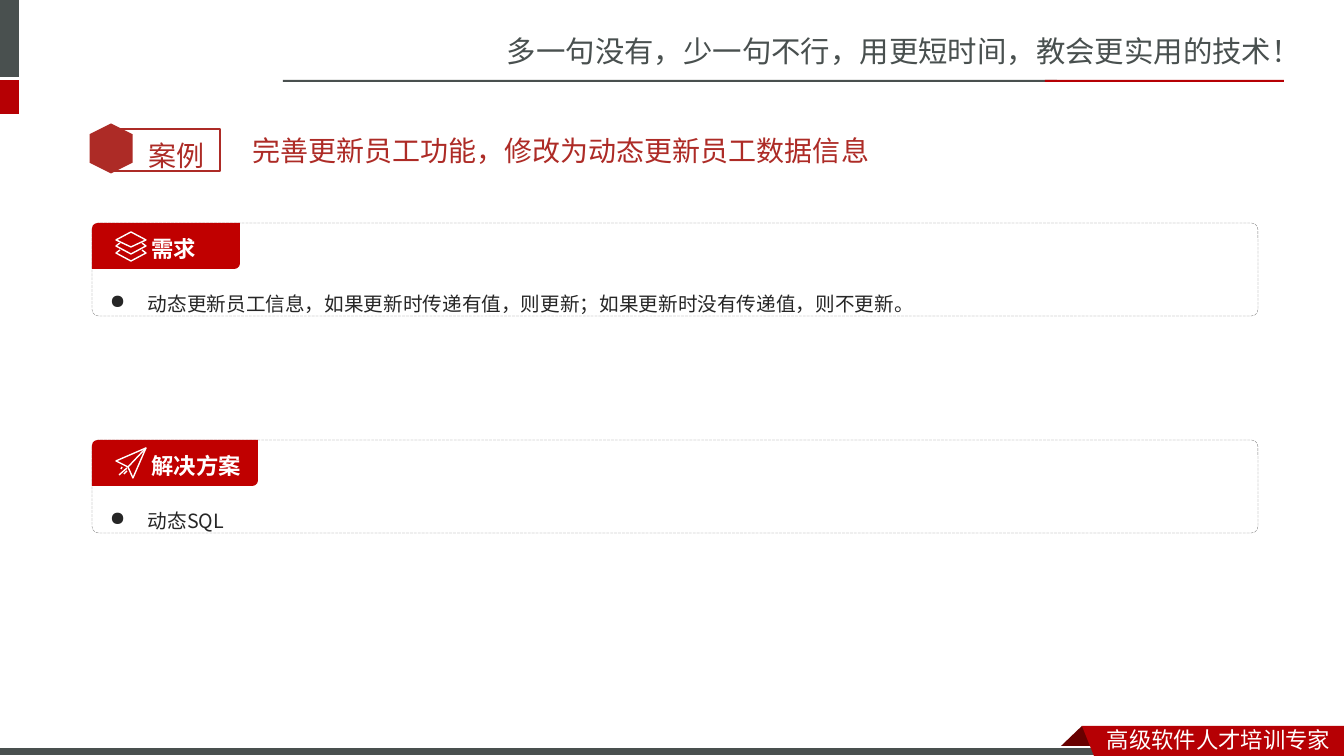
from lxml import etree
from pptx import Presentation
from pptx import util as u
from pptx.dml.color import RGBColor
from pptx.enum import dml, shapes, text
from pptx.oxml.ns import qn

SCALE = 914400 / 100.8  # EMU in one px
COLOURS = {
    "grey": "49504F", "red": "B60004", "dark_red": "680000", "brick": "AD2B26",
    "tab": "C00000", "border": "808080", "ink": "262626", "white": "FFFFFF",
}
CJK_SC, CJK_JP = "Noto Sans CJK SC", "Noto Sans CJK JP"
BULLET_INDENT = 38

# Icon strokes, in px from the top left of their panel
LAYERS_ICON = [
    [(39, 9), (54, 17), (39, 24), (24, 17), (39, 9)],
    [(28, 20), (24, 23), (39, 31), (54, 23), (50, 20)],
    [(28, 27), (24, 30), (39, 38), (54, 30), (50, 27)],
]
PLANE_ICON = [
    [(24, 21), (54, 8), (41, 38), (36, 27), (24, 21)],
    [(36, 27), (54, 8)],
    [(35, 28), (27, 35)],
    [(35, 31), (32, 34)],
    [(30, 27), (29, 29)],
]


def px(length):
    return u.Emu(round(length * SCALE))


def colour(name):
    return RGBColor.from_string(COLOURS[name])


def paint(shape, fill=None, line=None, width=1):
    shape.shadow.inherit = False
    if fill:
        shape.fill.solid()
        shape.fill.fore_color.rgb = colour(fill)
    else:
        shape.fill.background()
    if line:
        shape.line.color.rgb = colour(line)
        shape.line.width = u.Pt(width)
    else:
        shape.line.fill.background()


def add_block(page, kind, place, **style):
    shape = page.shapes.add_shape(kind, *map(px, place))
    paint(shape, **style)
    return shape


def add_outline(page, points, closed=True, **style):
    builder = page.shapes.build_freeform(*points[0], scale=SCALE)
    builder.add_line_segments(points[1:], close=closed)
    shape = builder.convert_to_shape()
    paint(shape, **style)
    return shape


def write(box, words, size, font, ink, east_asian=None, bold=False, spacing=None,
          anchor=text.MSO_ANCHOR.TOP, margins=None):
    frame = box.text_frame
    frame.word_wrap = True
    frame.vertical_anchor = anchor
    if margins:
        (frame.margin_left, frame.margin_top,
         frame.margin_right, frame.margin_bottom) = map(px, margins)
    para = frame.paragraphs[0]
    para.alignment = text.PP_ALIGN.LEFT
    if spacing:
        para.line_spacing = spacing
    span = para.add_run()
    span.text = words
    span.font.size = u.Pt(size)
    span.font.bold = bold
    span.font.color.rgb = colour(ink)
    span.font.name = font
    face = etree.SubElement(span.font._element, qn("a:ea"))
    face.set("typeface", east_asian or font)
    return para


def add_label(page, place, *words, **style):
    box = page.shapes.add_textbox(*map(px, place))
    write(box, *words, **style)


def add_bullet(para):
    props = para._p.get_or_add_pPr()
    props.set("marL", str(px(BULLET_INDENT)))
    props.set("indent", str(-px(BULLET_INDENT)))
    etree.SubElement(props, qn("a:buChar")).set("char", "●")


def add_icon(page, strokes, left, top):
    for stroke in strokes:
        points = [(left + x, top + y) for x, y in stroke]
        if len(points) > 2:
            add_outline(page, points, closed=points[0] == points[-1],
                        line="white", width=1)
            continue
        ends = [px(value) for point in points for value in point]
        line = page.shapes.add_connector(shapes.MSO_CONNECTOR.STRAIGHT, *ends)
        line.line.color.rgb = colour("white")
        line.line.width = u.Pt(1)
        etree.SubElement(line._element.spPr, qn("a:effectLst"))


def add_panel(page, top, heading, tab_width, icon, item):
    left = 92
    # Dashed frame with its bullet
    frame = add_block(page, shapes.MSO_SHAPE.ROUNDED_RECTANGLE,
                      (left, top, 1166, 93), line="border", width=0.25)
    frame.adjustments[0] = 0.07
    frame.line.dash_style = dml.MSO_LINE.LONG_DASH
    para = write(frame, item, 14, CJK_JP, "ink", spacing=2.0, margins=(16, 43, 8, 4))
    add_bullet(para)
    frame.text_frame.auto_size = text.MSO_AUTO_SIZE.SHAPE_TO_FIT_TEXT
    # Red tab
    tab = add_block(page, shapes.MSO_SHAPE.ROUND_2_DIAG_RECTANGLE,
                    (left, top, tab_width, 46), fill="tab")
    tab.adjustments[0] = 0.12
    write(tab, heading, 16, CJK_JP, "white", bold=True, spacing=1.5,
          anchor=text.MSO_ANCHOR.MIDDLE, margins=(58, 0, 4, 8))
    add_icon(page, icon, left, top)


def add_header(page):
    add_label(page, (497, 28, 847, 47),
              "多一句没有，少一句不行，用更短时间，教会更实用的技术！", 21, CJK_SC, "grey")
    for place, fill in [((0, 0, 19, 77), "grey"), ((0, 80, 19, 34), "red"),
                        ((283, 80, 774, 2), "grey"), ((1045, 80, 239, 2), "red")]:
        add_block(page, shapes.MSO_SHAPE.RECTANGLE, place, fill=fill)


def add_footer(page):
    add_outline(page, [(1082, 726), (1104, 748), (1103, 749), (1060, 749), (1059, 748)],
                fill="dark_red")
    add_block(page, shapes.MSO_SHAPE.RECTANGLE, (0, 747, 1108, 9),
              fill="grey", line="white", width=0.75)
    add_outline(page, [(1082, 726), (1344, 726), (1344, 756), (1094, 756)], fill="red")
    add_label(page, (1097, 721, 247, 37), "高级软件人才培训专家", 16, CJK_SC, "white")


def add_case_badge(page):
    add_block(page, shapes.MSO_SHAPE.RECTANGLE, (110, 129, 110, 42), line="brick")
    hexagon = add_block(page, shapes.MSO_SHAPE.HEXAGON, (86, 127, 50, 43), fill="brick")
    hexagon.rotation = 90
    add_label(page, (139, 117, 86, 56), "案例", 20, "Calibri", "brick",
              east_asian=CJK_SC, spacing=1.5)


def add_title(page):
    title = page.shapes.title
    title.left, title.top, title.width, title.height = map(px, (242, 122, 1016, 57))
    write(title, "完善更新员工功能，修改为动态更新员工数据信息", 20, "Lato", "brick",
          east_asian=CJK_SC, anchor=text.MSO_ANCHOR.MIDDLE)
    title.text_frame.auto_size = text.MSO_AUTO_SIZE.NONE


def main():
    deck = Presentation()
    deck.slide_width, deck.slide_height = px(1344), px(756)
    page = deck.slides.add_slide(deck.slide_layouts[5])
    add_header(page)
    add_footer(page)
    add_case_badge(page)
    add_title(page)
    add_panel(page, 223, "需求", 148, LAYERS_ICON,
              "动态更新员工信息，如果更新时传递有值，则更新；如果更新时没有传递值，则不更新。")
    add_panel(page, 440, "解决方案", 166, PLANE_ICON, "动态SQL")
    deck.save("out.pptx")


if __name__ == "__main__":
    main()
